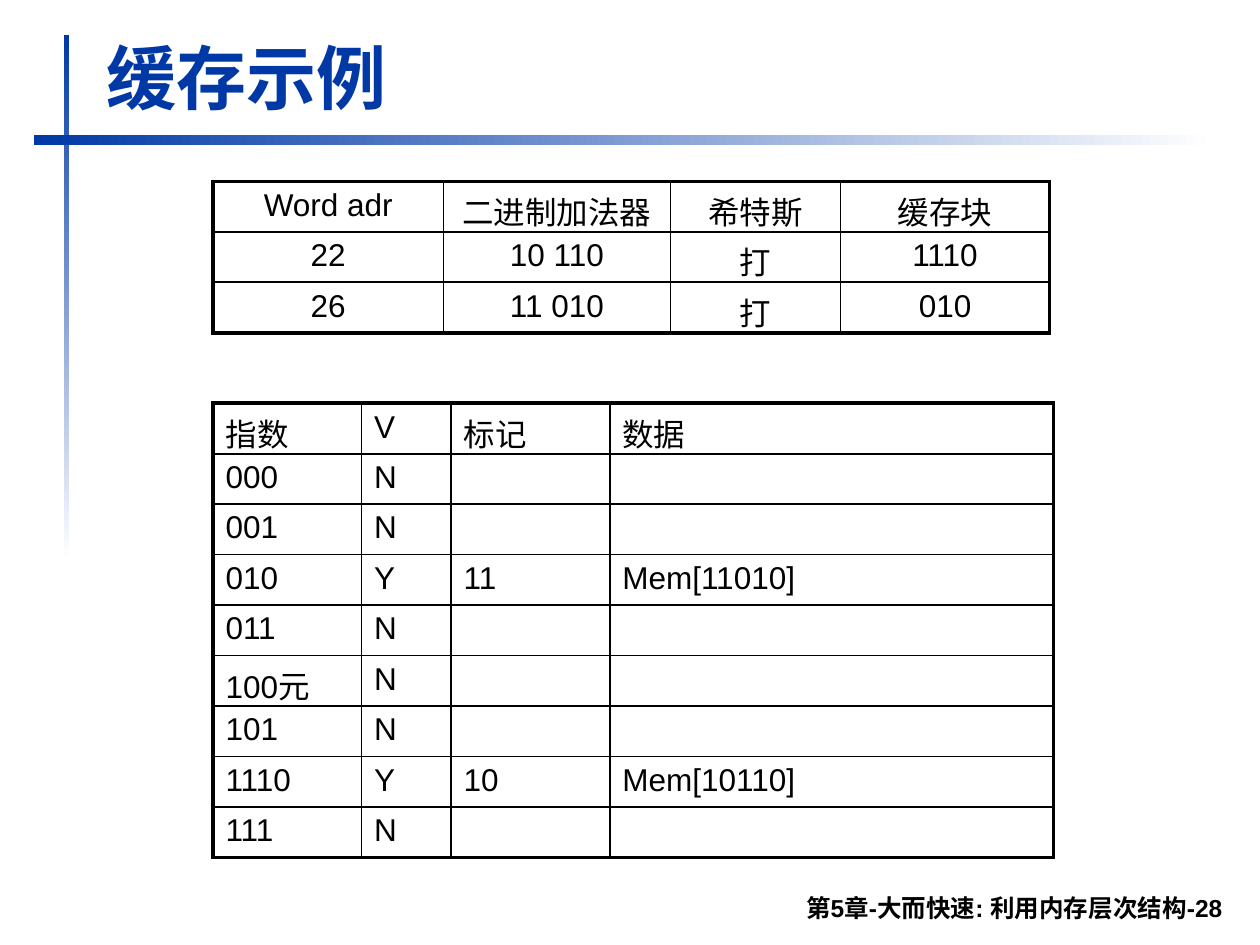
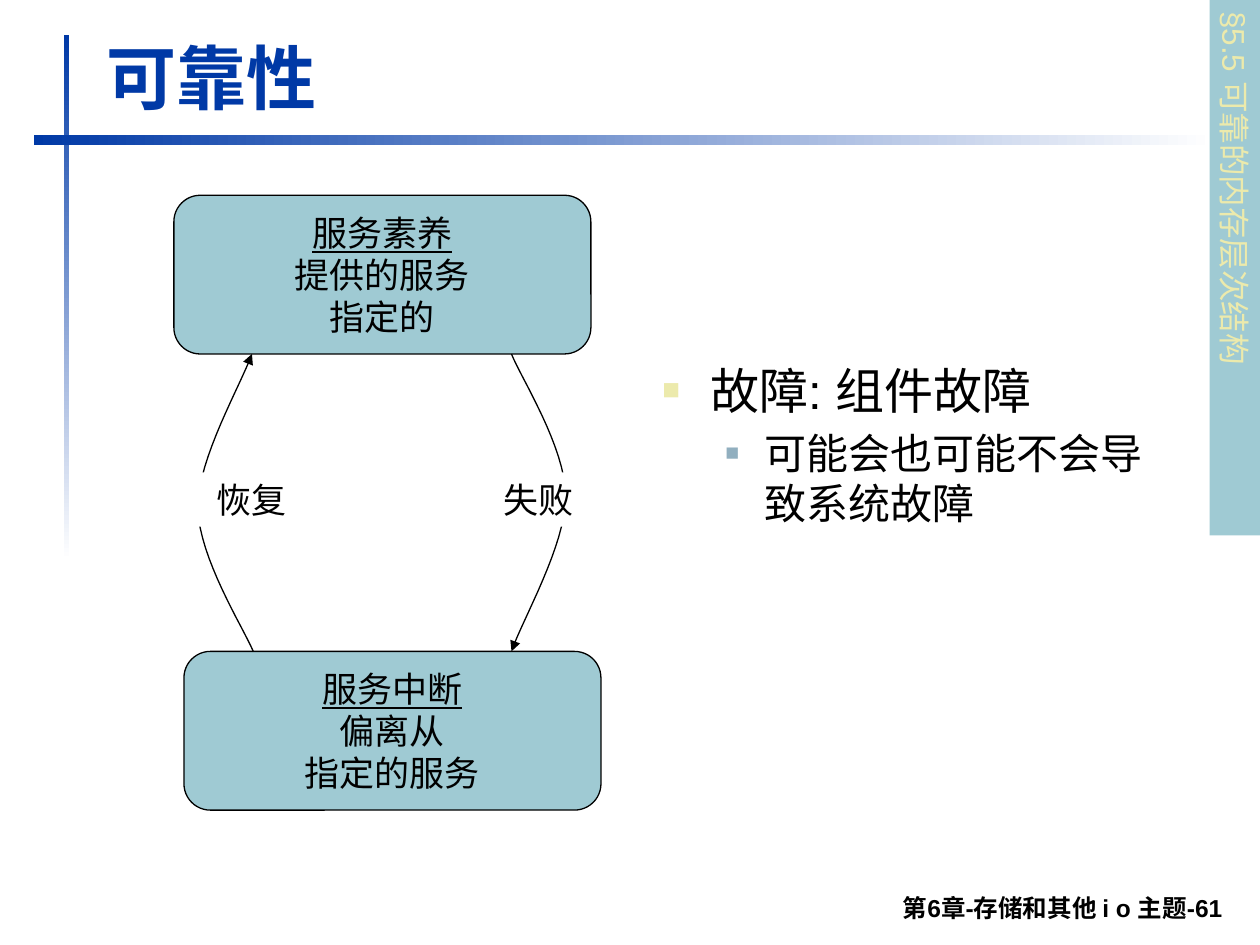
import typing

import lxml.etree
import pptx
import pptx.dml.color
import pptx.enum.shapes
import pptx.enum.text
import pptx.oxml.ns
import pptx.util

COLUMNS, ROWS = 100, 75  # grid of the slide
CELL = pptx.util.Inches(0.1)

COLORS = {
    "blue": "0039A6",
    "white": "FFFFFF",
    "black": "000000",
    "teal": "9FCAD3",
    "cream": "ECEAAC",
    "steel": "91AFBF",
}
FONT = "Arial"
TITLE = {"size": pptx.util.Pt(40), "bold": True}
FOOTER = {"size": pptx.util.Pt(14), "bold": True}
TABLE_TEXT = {"size": pptx.util.Pt(18), "bold": False}
DIAGRAM_TEXT = {"size": pptx.util.Pt(20)}
STATE_HEADING = {**DIAGRAM_TEXT, "underline": True}
BAND_TEXT = {"size": pptx.util.Pt(18)}

ALIGN = pptx.enum.text.PP_ALIGN
ANCHOR = pptx.enum.text.MSO_ANCHOR
SHAPE = pptx.enum.shapes.MSO_SHAPE
THIN, RULE, FRAME = 1, 1.5, 2.25  # table border widths in points


class Box(typing.NamedTuple):
    """A region of the slide, measured in grid columns and rows."""
    left: float
    top: float
    width: float
    height: float

    def inner(self, left, top, width, height):
        return Box(self.left + left, self.top + top, width, height)

    def point(self, column, row):
        return round((self.left + column) * CELL), round((self.top + row) * CELL)

    def emu(self):
        return [round(length * CELL) for length in self]


def color(name):
    return pptx.dml.color.RGBColor.from_string(COLORS[name])


def set_attributes(target, values):
    for name, value in values.items():
        setattr(target, name, value)


def add_element(parent, tag, **attributes):
    return lxml.etree.SubElement(parent, pptx.oxml.ns.qn(tag), attributes)


def write(para, text, style, tint="black", align=ALIGN.LEFT):
    """Fill a paragraph; a newline in the text is a line break."""
    para.text = text
    para.alignment = align
    for span in para.runs:
        set_attributes(span.font, {"name": FONT, **style})
        span.font.color.rgb = color(tint)


def add_text(page, box, anchor=ANCHOR.TOP):
    frame = page.shapes.add_textbox(*box.emu()).text_frame
    set_attributes(frame, {"word_wrap": True, "vertical_anchor": anchor})
    return frame


def add_panel(page, box, fill, kind=SHAPE.RECTANGLE, outlined=False, anchor=ANCHOR.TOP):
    panel = page.shapes.add_shape(kind, *box.emu())
    panel.shadow.inherit = False
    panel.fill.solid()
    panel.fill.fore_color.rgb = color(fill)
    if outlined:
        draw_outline(panel)
    else:
        panel.line.fill.background()
    set_attributes(panel.text_frame, {"word_wrap": True, "vertical_anchor": anchor})
    return panel


def draw_outline(shape):
    shape.line.color.rgb = color("black")
    shape.line.width = pptx.util.Pt(0.75)


def add_fading_bar(page, box, angle):
    bar = add_panel(page, box, "blue")
    bar.fill.gradient()
    bar.fill.gradient_angle = angle
    for stop, name in zip(bar.fill.gradient_stops, ("blue", "white")):
        stop.color.rgb = color(name)


def add_page(deck, title, footer):
    """Add a slide with the crossing bars, title and footer."""
    page = deck.slides.add_slide(deck.slide_layouts[6])
    add_fading_bar(page, Box(5.1, 2.8, 0.4, 41.7), 270)
    add_fading_bar(page, Box(2.7, 10.7, 93.7, 0.8), 0)
    heading = add_text(page, Box(7.5, 2.2, 90.3, 7.7), ANCHOR.BOTTOM)
    write(heading.paragraphs[0], title, TITLE, "blue")
    note = add_text(page, Box(18.5, 69.8, 79.5, 3.9), ANCHOR.BOTTOM)
    write(note.paragraphs[0], footer, FOOTER, align=ALIGN.RIGHT)
    return page


def set_borders(cell, widths):
    properties = cell._tc.get_or_add_tcPr()
    for side, width in zip("LRTB", widths):
        line = add_element(properties, f"a:ln{side}", w=str(pptx.util.Pt(width)))
        add_element(add_element(line, "a:solidFill"), "a:srgbClr", val=COLORS["black"])


def add_grid_table(page, box, columns, records, inner_rule, align):
    """Add a framed table; the rule below its header is heavier."""
    last_row, last_column = len(records) - 1, len(columns) - 1
    table = page.shapes.add_table(len(records), len(columns), *box.emu()).table
    set_attributes(table, {"first_row": False, "horz_banding": False})
    for column, width in zip(table.columns, columns):
        column.width = round(width * CELL)
    rules = [FRAME, RULE] + [inner_rule] * (last_row - 1) + [FRAME]
    for row, record in enumerate(records):
        table.rows[row].height = round(box.height / len(records) * CELL)
        for column, text in enumerate(record):
            cell = table.cell(row, column)
            write(cell.text_frame.paragraphs[0], text, TABLE_TEXT, align=align)
            set_borders(cell, (FRAME if column == 0 else THIN,
                               FRAME if column == last_column else THIN,
                               rules[row], rules[row + 1]))
            cell.fill.background()


def add_cache_page(deck):
    page = add_page(deck, "缓存示例", "第5章-大而快速: 利用内存层次结构-28")
    accesses = [
        ("Word adr", "二进制加法器", "希特斯", "缓存块"),
        ("22", "10 110", "打", "1110"),
        ("26", "11 010", "打", "010"),
    ]
    blocks = [
        ("指数", "V", "标记", "数据"),
        ("000", "N", "", ""),
        ("001", "N", "", ""),
        ("010", "Y", "11", "Mem[11010]"),
        ("011", "N", "", ""),
        ("100元", "N", "", ""),
        ("101", "N", "", ""),
        ("1110", "Y", "10", "Mem[10110]"),
        ("111", "N", "", ""),
    ]
    add_grid_table(page, Box(16.9, 32, 66.7, 36), (11.8, 7.1, 12.6, 35.2),
                   blocks, THIN, ALIGN.LEFT)
    add_grid_table(page, Box(16.9, 14.4, 66.4, 12), (18.3, 18, 13.5, 16.6),
                   accesses, RULE, ALIGN.CENTER)


def add_state(page, box, heading, description):
    state = add_panel(page, box, "teal", SHAPE.ROUNDED_RECTANGLE, True, ANCHOR.MIDDLE)
    frame = state.text_frame
    write(frame.paragraphs[0], heading, STATE_HEADING, align=ALIGN.CENTER)
    write(frame.add_paragraph(), description, DIAGRAM_TEXT, align=ALIGN.CENTER)


def curve_points(knots, steps=16):
    """Sample joined cubic curves, each sharing its end with the next start."""
    points = [knots[0]]
    for first in range(0, len(knots) - 1, 3):
        controls = knots[first:first + 4]
        for step in range(1, steps + 1):
            t = step / steps
            weights = ((1 - t) ** 3, 3 * t * (1 - t) ** 2, 3 * t * t * (1 - t), t ** 3)
            points.append(tuple(sum(weight * knot[axis]
                                    for weight, knot in zip(weights, controls))
                                for axis in (0, 1)))
    return points


def add_transition(page, box, knots, label_box, label, align):
    """Draw a curved arrow with a label that interrupts it."""
    start, *others = [box.point(*point) for point in curve_points(knots)]
    builder = page.shapes.build_freeform(*start)
    builder.add_line_segments(others, close=False)
    arrow = builder.convert_to_shape()
    arrow.shadow.inherit = False
    arrow.fill.background()
    draw_outline(arrow)
    line = arrow.element.spPr.find(pptx.oxml.ns.qn("a:ln"))
    add_element(line, "a:tailEnd", type="triangle")
    tag = add_panel(page, label_box, "white")
    write(tag.text_frame.paragraphs[0], label, DIAGRAM_TEXT, align=align)


def add_service_cycle(page, box):
    add_state(page, box.inner(6.3, 0, 33.1, 12.6), "服务素养", "提供的服务\n指定的")
    add_state(page, box.inner(7.1, 36.2, 33.1, 12.6), "服务中断", "偏离从\n指定的服务")
    failure = [(33.1, 12.6), (33.8, 14.4), (37.4, 20), (37.4, 23.9),
               (37.4, 27.8), (34, 33.6), (33.1, 36.2)]
    recovery = [(12.6, 36.2), (11.8, 34.3), (8.3, 28.8), (8.2, 24.8),
                (8.2, 20.9), (11.6, 15.1), (12.5, 12.6)]
    add_transition(page, box, failure, box.inner(31.5, 22, 10.5, 4.3), "失败", ALIGN.LEFT)
    add_transition(page, box, recovery, box.inner(0, 22, 16.2, 4.3), "恢复", ALIGN.RIGHT)


def add_bullets(page, box):
    items = [  # text, size, bullet colour, bullet percent, margin, hanging
        ("故障: 组件故障", 28, "cream", 60, 0.38, 0.38),
        ("可能会也可能不会导致系统故障", 24, "steel", 55, 0.81, 0.31),
    ]
    frame = add_text(page, box)
    for level, (text, size, tint, percent, margin, hanging) in enumerate(items):
        para = frame.add_paragraph() if level else frame.paragraphs[0]
        para.level = level
        properties = para._p.get_or_add_pPr()
        properties.set("marL", str(pptx.util.Inches(margin)))
        properties.set("indent", str(-pptx.util.Inches(hanging)))
        add_element(add_element(properties, "a:buClr"), "a:srgbClr", val=COLORS[tint])
        add_element(properties, "a:buSzPct", val=str(percent * 1000))
        add_element(properties, "a:buFont", typeface=FONT)
        add_element(properties, "a:buChar", char="■")
        if level:
            para.space_before = pptx.util.Pt(size * 0.2)
        write(para, text, {"size": pptx.util.Pt(size)})


def add_section_band(page, box, text):
    band = add_panel(page, box, "teal")
    band.rotation = 90
    write(band.text_frame.paragraphs[0], text, BAND_TEXT, "cream")


def add_dependability_page(deck):
    page = add_page(deck, "可靠性", "第6章-存储和其他 i o 主题-61")
    add_bullets(page, Box(51.6, 28.1, 43.3, 40.2))
    add_service_cycle(page, Box(7.5, 15.5, 42, 48.8))
    add_section_band(page, Box(76.7, 19.2, 42.6, 4), "§5.5 可靠的内存层次结构")


def main():
    deck = pptx.Presentation()
    deck.slide_width, deck.slide_height = COLUMNS * CELL, ROWS * CELL
    add_cache_page(deck)
    add_dependability_page(deck)
    deck.save("out.pptx")


if __name__ == "__main__":
    main()
